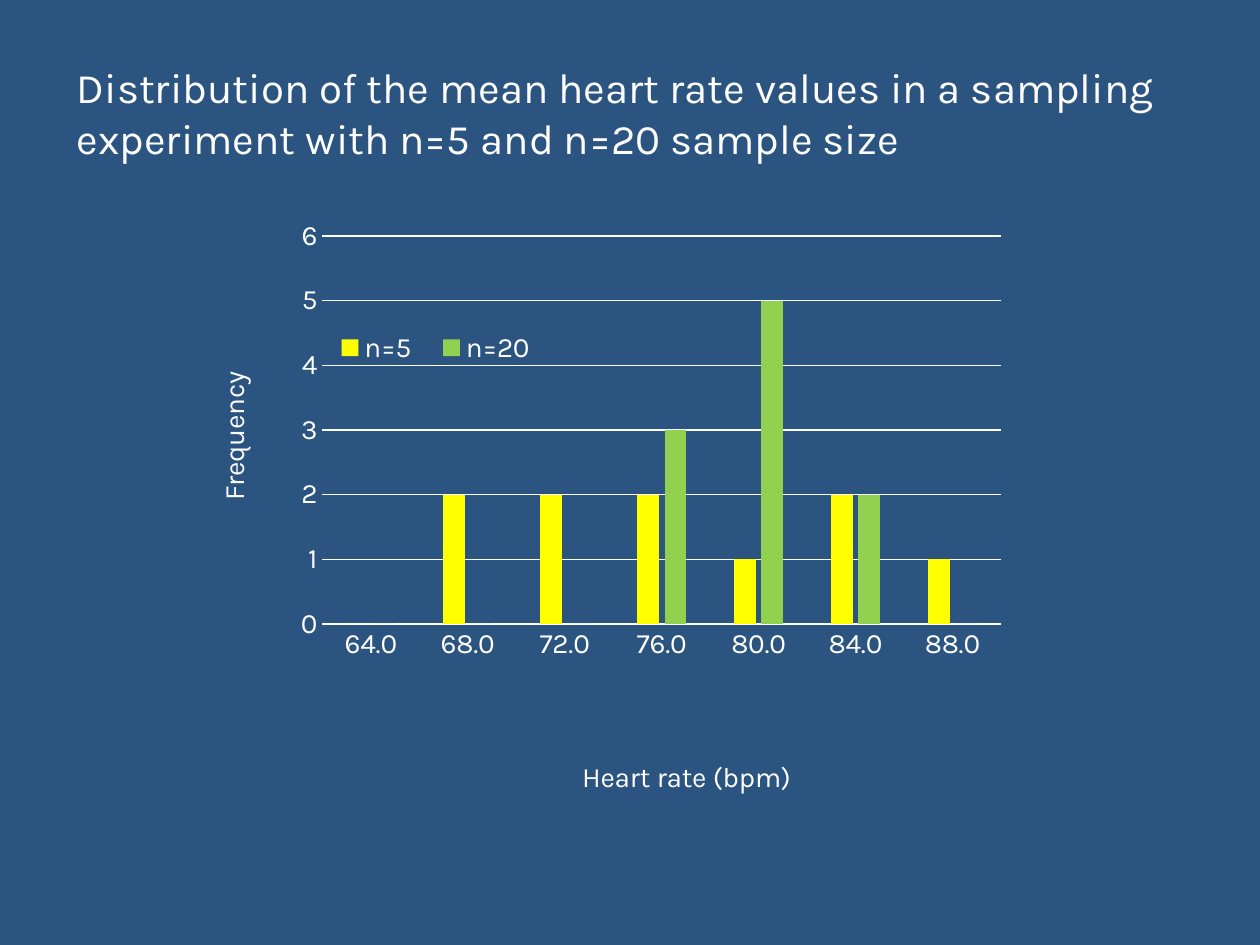
from typing import NamedTuple

from lxml import etree
from pptx import Presentation
from pptx import util as u
from pptx.chart.data import CategoryChartData
from pptx.dml.color import RGBColor
from pptx.enum import chart as charts, text
from pptx.oxml.ns import qn

NAVY = RGBColor(0x2B, 0x54, 0x81)
WHITE = RGBColor(0xFF, 0xFF, 0xFF)
YELLOW = RGBColor(0xFF, 0xFF, 0x00)
GREEN = RGBColor(0x92, 0xD0, 0x50)
FONT = "Karla"
WIDTH, HEIGHT = u.Inches(10), u.Inches(7.5)
TITLE = ("Distribution of the mean heart rate values in a sampling "
         "experiment with n=5 and n=20 sample size")
HEART_RATES = [f"{rate}.0" for rate in range(64, 89, 4)]


class Sample(NamedTuple):
    """One sample size with its frequencies and bar colour."""
    name: str
    counts: tuple
    color: RGBColor


class Share(NamedTuple):
    """A place inside the chart, as shares of the chart's size."""
    x: float
    y: float
    w: float = 0
    h: float = 0


SAMPLES = [
    Sample("n=5", (0, 2, 2, 2, 1, 2, 1), YELLOW),
    Sample("n=20", (0, 0, 0, 3, 5, 2, 0), GREEN),
]


def style_font(font, size: int) -> None:
    """Apply the slide's typeface in white."""
    font.name, font.size, font.bold = FONT, u.Pt(size), False
    font.color.rgb = WHITE


def style_line(line) -> None:
    """Make a thin white chart line."""
    line.color.rgb = WHITE
    line.width = u.Pt(0.75)


def place(part, index: int, share: Share, inner: bool = False) -> None:
    """Give a chart part a manual layout as its child number index."""
    for old in part.findall(qn("c:layout")):
        part.remove(old)
    layout = etree.Element(qn("c:layout"))
    manual = etree.SubElement(layout, qn("c:manualLayout"))
    settings = {"layoutTarget": "inner"} if inner else {}
    settings |= {"xMode": "edge", "yMode": "edge"}
    settings |= {key: str(value) for key, value in share._asdict().items() if value}
    for tag, value in settings.items():
        etree.SubElement(manual, qn(f"c:{tag}")).set("val", value)
    part.insert(index, layout)


def style_axis(axis, caption: str, share: Share) -> None:
    """Format an axis and place its caption."""
    axis.major_tick_mark = axis.minor_tick_mark = charts.XL_TICK_MARK.NONE
    style_font(axis.tick_labels.font, 16)
    span = axis.axis_title.text_frame.paragraphs[0].add_run()
    span.text = caption
    style_font(span.font, 16)
    place(axis.axis_title.element, 1, share)


def add_title(page) -> None:
    """Fill and move the title placeholder."""
    box = page.shapes.title
    box.left, box.top = u.Inches(0.51), u.Inches(0.44)
    box.width, box.height = u.Inches(9.21), u.Inches(0.91)
    frame = box.text_frame
    frame.word_wrap = True
    frame.auto_size = text.MSO_AUTO_SIZE.SHAPE_TO_FIT_TEXT
    frame.vertical_anchor = text.MSO_ANCHOR.TOP
    para = frame.paragraphs[0]
    para.alignment = text.PP_ALIGN.LEFT
    span = para.add_run()
    span.text = TITLE
    style_font(span.font, 24)


def add_histogram(page) -> None:
    """Draw the clustered columns for both sample sizes."""
    data = CategoryChartData()
    data.categories = HEART_RATES
    for sample in SAMPLES:
        data.add_series(sample.name, sample.counts)
    chart = page.shapes.add_chart(
        charts.XL_CHART_TYPE.COLUMN_CLUSTERED, u.Inches(1.54), u.Inches(1.62),
        u.Inches(6.61), u.Inches(4.96), data).chart
    chart.has_title = False
    style_font(chart.font, 16)

    plot = chart.plots[0]
    plot.gap_width, plot.overlap, plot.vary_by_categories = 219, -27, False
    for series, sample in zip(plot.series, SAMPLES):
        series.format.fill.solid()
        series.format.fill.fore_color.rgb = sample.color
    place(chart.element.xpath(".//c:plotArea")[0], 0,
          Share(0.154, 0.051, 0.815, 0.621), inner=True)

    style_axis(chart.category_axis, "Heart rate (bpm)", Share(0.46, 0.88))
    style_line(chart.category_axis.format.line)
    counts = chart.value_axis
    style_axis(counts, "Frequency", Share(0.02, 0.26))
    counts.minimum_scale, counts.maximum_scale, counts.major_unit = 0, 6, 1
    counts.format.line.fill.background()
    style_line(counts.major_gridlines.format.line)

    chart.has_legend = True
    chart.legend.position = charts.XL_LEGEND_POSITION.BOTTOM
    chart.legend.include_in_layout = False
    style_font(chart.legend.font, 16)
    place(chart.element.xpath(".//c:legend")[0], 1, Share(0.15, 0.19, 0.28, 0.08))


def main() -> None:
    """Build and save the deck."""
    deck = Presentation()
    deck.slide_width, deck.slide_height = WIDTH, HEIGHT
    page = deck.slides.add_slide(deck.slide_layouts[5])
    page.background.fill.solid()
    page.background.fill.fore_color.rgb = NAVY
    add_histogram(page)
    add_title(page)
    deck.save("out.pptx")


main()
